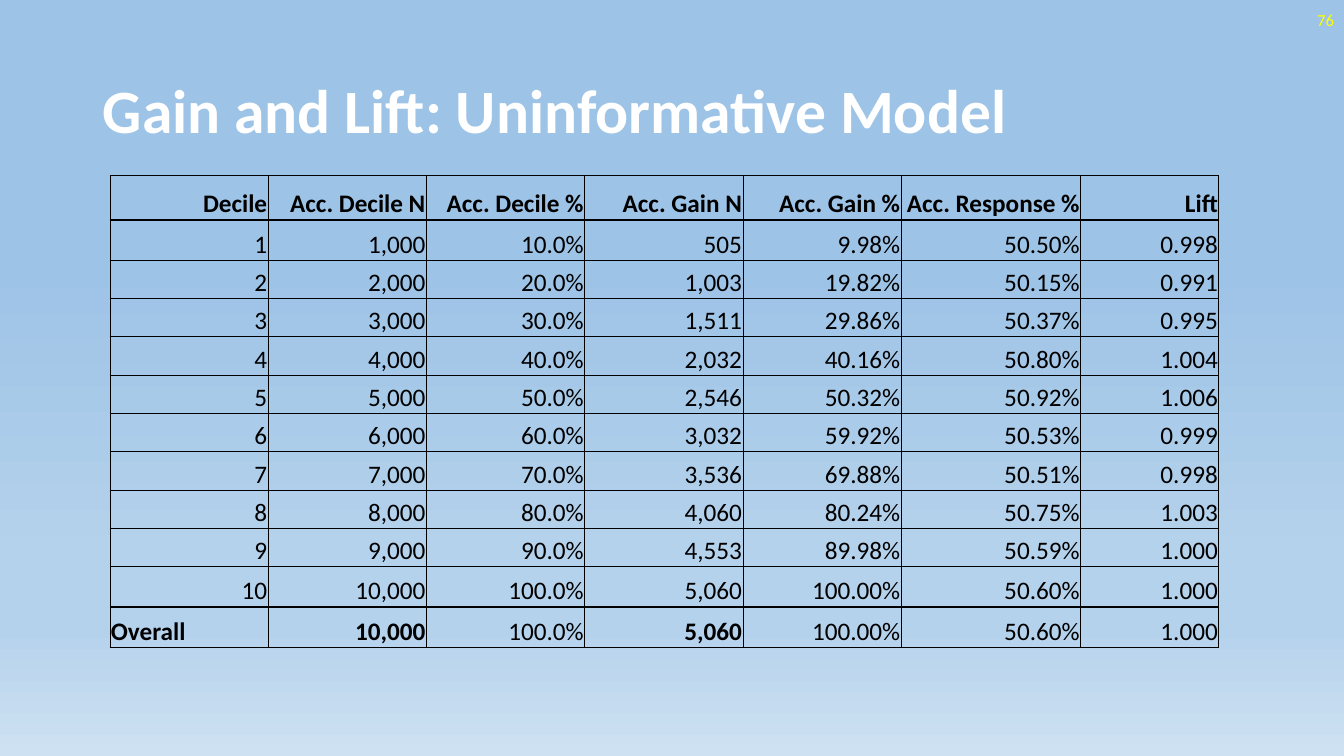
"""Build the gain and lift slide for an uninformative model."""
from lxml import etree
from pptx import Presentation, util as u
from pptx.dml.color import RGBColor
from pptx.enum import text
from pptx.oxml.ns import qn


def colour(code):
    """Turn a hex string into a colour."""
    return RGBColor.from_string(code)


class SlideBuilder:
    """Hold the style and the current slide."""

    font = "Calibri"
    ink = "000000"
    thin, thick = 0.5, 2

    def __init__(self, deck):
        """Add a slide that has only a title."""
        self.slide = deck.slides.add_slide(deck.slide_layouts[5])

    def background(self, stops):
        """Fill the slide with a downward gradient."""
        fill = self.slide.background.fill
        fill.gradient()
        fill.gradient_angle = 270
        stop_list = self.slide.element.find(".//" + qn("a:gsLst"))
        for stop in list(stop_list):
            stop_list.remove(stop)
        for percent, code in stops:
            stop = etree.SubElement(stop_list, qn("a:gs"), pos=str(percent * 1000))
            etree.SubElement(stop, qn("a:srgbClr"), val=code)

    def set_text(self, para, words, size, code, align, bold=False):
        """Set and format the text of a paragraph."""
        para.text = words
        para.alignment = align
        for span in para.runs:
            span.font.name = self.font
            span.font.size = u.Pt(size)
            span.font.bold = bold
            span.font.color.rgb = colour(code)

    def title(self, words, left, top, width, height):
        """Place the title."""
        box = self.slide.shapes.title
        box.left, box.top = u.Inches(left), u.Inches(top)
        box.width, box.height = u.Inches(width), u.Inches(height)
        frame = box.text_frame
        frame.vertical_anchor = text.MSO_ANCHOR.MIDDLE
        para = frame.paragraphs[0]
        self.set_text(para, words, 44, "FFFFFF", text.PP_ALIGN.LEFT, True)
        para.line_spacing = 0.9

    def page_number(self, words, left, top, width, height):
        """Place the page number."""
        box = self.slide.shapes.add_textbox(
            u.Inches(left), u.Inches(top), u.Inches(width), u.Inches(height))
        frame = box.text_frame
        frame.word_wrap = True
        frame.vertical_anchor = text.MSO_ANCHOR.MIDDLE
        self.set_text(frame.paragraphs[0], words, 12, "FFFF00", text.PP_ALIGN.RIGHT)

    def borders(self, cell, top, bottom):
        """Draw the four borders of a cell."""
        props = cell._tc.get_or_add_tcPr()
        widths = {"L": self.thin, "R": self.thin, "T": top, "B": bottom}
        for side, width in widths.items():
            line = etree.SubElement(props, qn("a:ln" + side), w=str(u.Pt(width)))
            fill = etree.SubElement(line, qn("a:solidFill"))
            etree.SubElement(fill, qn("a:srgbClr"), val=self.ink)

    def table(self, rows, left, top, widths, heights, bold_cells):
        """Add a ruled table with heavy lines below its header and above its total."""
        table = self.slide.shapes.add_table(
            len(rows), len(widths), u.Inches(left), u.Inches(top),
            u.Inches(sum(widths)), u.Inches(sum(heights))).table
        table.first_row = table.horz_banding = False
        for column, width in zip(table.columns, widths):
            column.width = u.Inches(width)
        for row, height in zip(table.rows, heights):
            row.height = u.Inches(height)
        last = len(rows) - 1
        heavy = (1, last)
        for r, row in enumerate(rows):
            for c, words in enumerate(row):
                cell = table.cell(r, c)
                cell.margin_left = cell.margin_right = cell.margin_top = u.Inches(0.01)
                cell.margin_bottom = 0
                cell.vertical_anchor = text.MSO_ANCHOR.BOTTOM
                self.borders(cell, self.thick if r in heavy else self.thin,
                             self.thick if r + 1 in heavy else self.thin)
                cell.fill.background()
                align = text.PP_ALIGN.LEFT if (r, c) == (last, 0) else text.PP_ALIGN.RIGHT
                self.set_text(cell.text_frame.paragraphs[0], words, 18, self.ink,
                              align, r == 0 or (r, c) in bold_cells)


def gain_rows(gains, decile_size):
    """Work out the table rows from the accumulated gains."""
    total = gains[-1]
    overall_rate = total / (decile_size * len(gains))
    rows = [["Decile", "Acc. Decile N", "Acc. Decile %", "Acc. Gain N",
             "Acc. Gain %", "Acc. Response %", "Lift"]]
    for decile, gain in enumerate(gains, 1):
        count = decile * decile_size
        rate = gain / count
        rows.append([str(decile), f"{count:,}", f"{decile / len(gains):.1%}",
                     f"{gain:,}", f"{gain / total:.2%}", f"{rate:.2%}",
                     f"{rate / overall_rate:.3f}"])
    return rows + [["Overall"] + rows[-1][1:]]


def main():
    """Build and save the deck."""
    deck = Presentation()
    deck.slide_width, deck.slide_height = u.Inches(13.33), u.Inches(7.5)
    page = SlideBuilder(deck)
    page.background([(35, "9DC3E6"), (74, "B5D2EC"), (83, "B5D2EC"), (100, "CEE1F2")])
    page.title("Gain and Lift: Uninformative Model", 0.92, 0.4, 11.5, 1.45)
    page.page_number("76", 10.33, 0, 3, 0.4)
    gains = [505, 1003, 1511, 2032, 2546, 3032, 3536, 4060, 4553, 5060]
    page.table(gain_rows(gains, 1000), 1.09, 1.74,
               [1.57] * 5 + [1.78, 1.37], [0.44, 0.4] + [0.38] * 8 + [0.4] * 2,
               {(11, 0), (11, 1), (11, 3)})
    deck.save("out.pptx")


if __name__ == "__main__":
    main()
